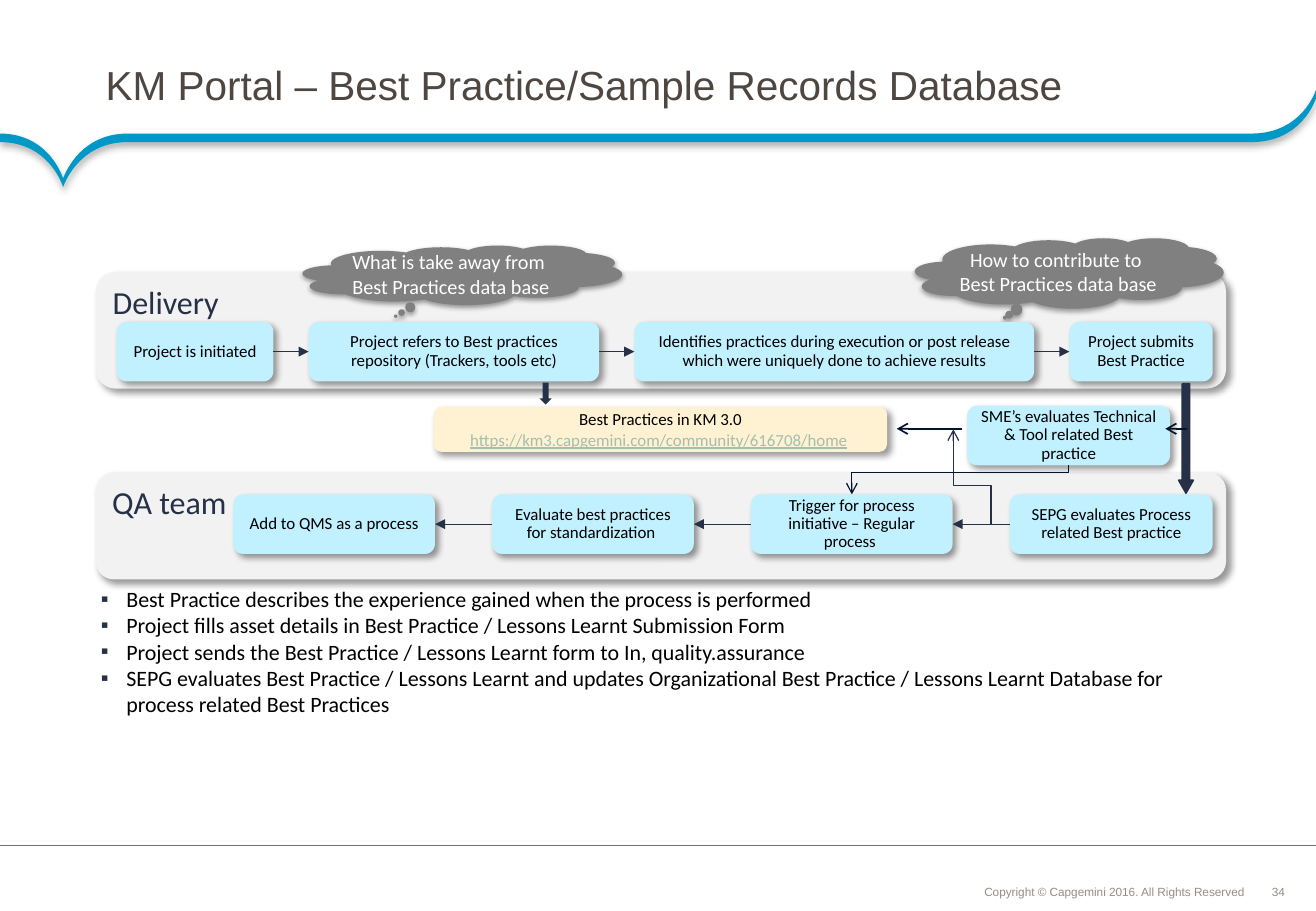
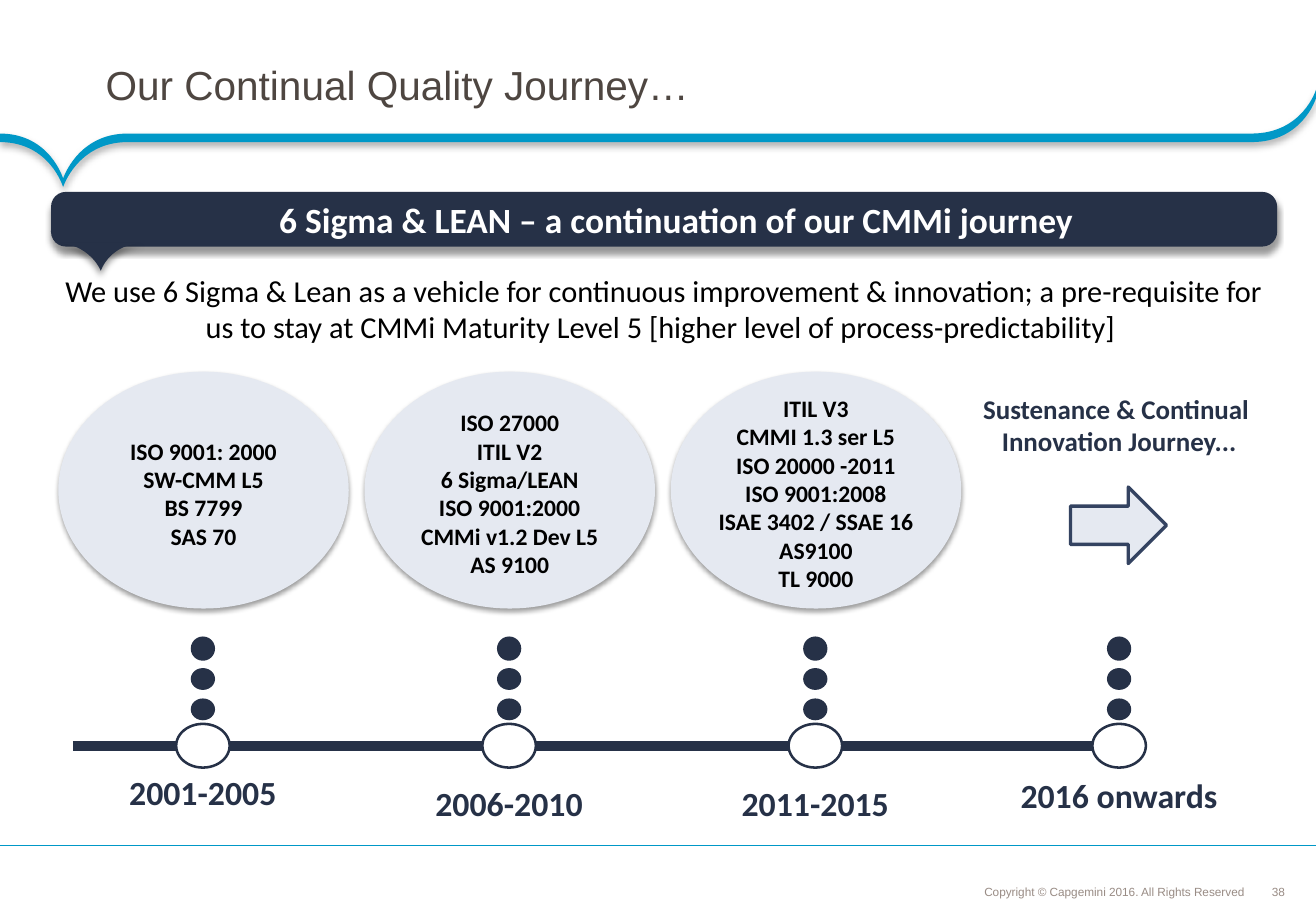
"""Builds the best-practice flow and the quality-journey slides."""
from lxml.etree import SubElement
from pptx import Presentation
from pptx.dml.color import RGBColor
from pptx.enum.shapes import MSO_CONNECTOR as CONN, MSO_SHAPE as SHAPE
from pptx.enum.text import MSO_ANCHOR as ANCHOR, MSO_AUTO_SIZE as AUTO, PP_ALIGN as ALIGN
from pptx.oxml.ns import qn
from pptx.util import Inches, Pt

NAVY = RGBColor(0x26, 0x31, 0x47)
INK = RGBColor(0x00, 0x14, 0x2A)
SLATE = RGBColor(0x24, 0x30, 0x46)
STEEL = RGBColor(0x34, 0x43, 0x61)
BLUE = RGBColor(0x00, 0x98, 0xC7)
SKY = RGBColor(0xC1, 0xF0, 0xFF)
CREAM = RGBColor(0xFF, 0xF2, 0xD2)
MIST = RGBColor(0xE5, 0xE9, 0xF1)
PANEL = RGBColor(0xF2, 0xF2, 0xF2)
GRAY = RGBColor(0x80, 0x80, 0x80)
TITLE = RGBColor(0x4E, 0x46, 0x41)
FOOTER = RGBColor(0x99, 0x8C, 0x85)
LINK = RGBColor(0xA2, 0xBF, 0xAF)
BLACK = RGBColor(0, 0, 0)
WHITE = RGBColor(0xFF, 0xFF, 0xFF)

BAND_SHADOW = (31, 4, 2, 90)
BAR_SHADOW = (40, 4, 3, 90)
BOX_SHADOW = (40, 4, 3, 45)
SOFT_SHADOW = (38, 3.1, 1.6, 90)


def style(sp, fill=None, line=None, width=0.75, shadow=None, tail=None):
    if fill is not None:
        sp.fill.solid()
        sp.fill.fore_color.rgb = fill
    if line is None:
        sp.line.fill.background()
    else:
        sp.line.color.rgb = line
        sp.line.width = Pt(width)
    spPr = sp.element.spPr
    if tail:
        SubElement(spPr.find(qn("a:ln")), qn("a:tailEnd"), type=tail)
    effects = SubElement(spPr, qn("a:effectLst"))
    if shadow:
        alpha, blur, dist, angle = shadow
        outer = SubElement(effects, qn("a:outerShdw"), blurRad=str(Pt(blur)), dist=str(Pt(dist)),
                           dir=str(angle * 60000), algn="ctr", rotWithShape="0")
        color = SubElement(outer, qn("a:srgbClr"), val="000000")
        SubElement(color, qn("a:alpha"), val=str(alpha * 1000))


def write(sp, lines, size, color, font="Calibri", bold=False, align=ALIGN.CENTER, anchor=ANCHOR.MIDDLE,
          wrap=True, spacing=None, margins=(0.09, 0.04, 0.09, 0.04)):
    tf = sp.text_frame
    tf.word_wrap = wrap
    tf.auto_size = AUTO.NONE
    tf.vertical_anchor = anchor
    tf.margin_left, tf.margin_top, tf.margin_right, tf.margin_bottom = map(Inches, margins)
    for i, line in enumerate(lines):
        p = tf.add_paragraph() if i else tf.paragraphs[0]
        p.alignment = align
        p.space_before = Pt(0)
        if spacing:
            p.line_spacing = spacing
        for j, part in enumerate(line.split("\n")):
            if j:
                p.add_line_break()
            r = p.add_run()
            r.text = part
            r.font.name, r.font.size, r.font.bold = font, Pt(size), bold
            r.font.color.rgb = color


prs = Presentation()
prs.slide_width, prs.slide_height = Inches(10.83), Inches(7.5)
flow = prs.slides.add_slide(prs.slide_layouts[1])
journey = prs.slides.add_slide(prs.slide_layouts[5])

bar = journey.shapes.add_shape(SHAPE.ROUNDED_RECTANGLE, Inches(0.42), Inches(1.58), Inches(10.09), Inches(0.45))
bar.adjustments[0] = 0.27
style(bar, NAVY, shadow=BAR_SHADOW)
write(bar, ["6 Sigma & LEAN – a continuation of our CMMi journey"], 21, WHITE, bold=True, wrap=False,
      margins=(0.2, 0, 0, 0))

band_curves = [[(1.05, 1.1)] * 3,
               [(0.64, 1.1), (0.52, 1.47), (0.52, 1.47)], [(0.52, 1.47), (0.41, 1.1), (0, 1.1)],
               [(0, 1.17)] * 3,
               [(0.41, 1.17), (0.52, 1.54), (0.52, 1.54)], [(0.52, 1.54), (0.64, 1.17), (1.05, 1.17)],
               [(10.3, 1.17)] * 3, [(10.72, 1.17), (10.83, 0.81), (10.83, 0.81)],
               [(10.83, 0.74)] * 3, [(10.83, 0.74), (10.72, 1.1), (10.3, 1.1)]]
pointer_curves = [[(0.74, 2), (0.83, 2.23), (0.83, 2.23)], [(0.83, 2.23), (0.9, 2), (1.2, 2)]]
outlines = []
for s, start, curves, closed, fill, shadow in (
        (flow, (10.3, 1.1), band_curves, True, BLUE, BAND_SHADOW),
        (journey, (0.45, 2), pointer_curves, False, NAVY, BAR_SHADOW)):
    builder = s.shapes.build_freeform(*map(Inches, start))
    builder.add_line_segments([tuple(map(Inches, curve[-1])) for curve in curves], close=closed)
    sp = builder.convert_to_shape()
    for segment, curve in zip(sp.element.xpath(".//a:lnTo"), curves):
        segment.tag = qn("a:cubicBezTo")
        segment.remove(segment[0])
        for x, y in curve:
            SubElement(segment, qn("a:pt"), x=str(Inches(x) - sp.left), y=str(Inches(y) - sp.top))
    style(sp, fill, shadow=shadow)
    outlines.append(sp)

notice = flow.shapes.add_textbox(Inches(7.37), Inches(7.24), Inches(2.91), Inches(0.2))
write(notice, ["Copyright © Capgemini 2016. All Rights Reserved"], 7, FOOTER, "Arial", align=ALIGN.RIGHT,
      anchor=ANCHOR.BOTTOM, spacing=0.9, margins=(0.04,) * 4)
rule = flow.shapes.add_connector(CONN.STRAIGHT, Inches(10.83), Inches(6.96), 0, Inches(6.96))
style(rule, line=BLUE)
for i, sp in enumerate((outlines[0], notice, rule)):
    sp.element.xpath("./*/p:cNvPr")[0].set("id", str(20 + i))
    prs.slide_master.shapes.element.append(sp.element)

for s, title, number in ((flow, "KM Portal – Best Practice/Sample Records Database", "34"),
                         (journey, "Our Continual Quality Journey…", "38")):
    sp = s.shapes.title
    sp.left, sp.top, sp.width, sp.height = map(Inches, (0.54, 0.3, 9.75, 0.85))
    write(sp, [title], 24, TITLE, "Arial", align=ALIGN.LEFT, spacing=0.85, margins=(0.33, 0.04, 0.18, 0.04))
    sp = s.shapes.add_textbox(Inches(10.46), Inches(7.28), Inches(0.12), Inches(0.12))
    write(sp, [number], 7, FOOTER, "Arial", wrap=False, margins=(0,) * 4)

for label, y, h in (("QA team", 3.89, 0.88), ("Delivery", 2.24, 0.96)):
    sp = flow.shapes.add_shape(SHAPE.ROUNDED_RECTANGLE, Inches(0.79), Inches(y), Inches(9.3), Inches(h))
    style(sp, PANEL, shadow=BOX_SHADOW)
    write(sp, [label], 19, NAVY, align=ALIGN.LEFT, anchor=ANCHOR.TOP)

for text, x, y, w, h, tip in (
        ("What is take away from \nBest Practices data base", 2.49, 2.02, 2.63, 0.49, 0.69),
        ("How to contribute to \nBest Practices data base", 7.53, 1.96, 2.54, 0.58, 0.63)):
    sp = flow.shapes.add_shape(SHAPE.CLOUD_CALLOUT, Inches(x), Inches(y), Inches(w), Inches(h))
    sp.adjustments[1] = tip
    style(sp, GRAY, shadow=SOFT_SHADOW)
    write(sp, [text], 12, WHITE, wrap=False)

delivery = [("Project is initiated", 1.29),
            ("Project refers to Best practices repository (Trackers, tools etc)", 2.39),
            ("Identifies practices during execution or post release which were uniquely done to achieve results",
             3.29),
            ("Project submits Best Practice", 1.18)]
review = [("Add to QMS as a process", 1.66),
          ("Evaluate best practices for standardization ", 1.66),
          ("Trigger for process initiative – Regular process ", 1.66),
          ("SEPG evaluates Process related Best practice", 1.67)]
expert = [("SME’s evaluates Technical & Tool related Best practice", 1.67)]
for steps, x, y, gap, forward in ((delivery, 0.96, 2.65, 0.29, True), (review, 1.92, 4.07, 0.47, False),
                                  (expert, 7.96, 3.34, 0, True)):
    boxes = []
    for text, w in steps:
        sp = flow.shapes.add_shape(SHAPE.ROUNDED_RECTANGLE, Inches(x), Inches(y), Inches(w), Inches(0.49))
        style(sp, SKY, shadow=BOX_SHADOW)
        write(sp, [text], 10, BLACK, spacing=0.9)
        boxes.append(sp)
        x += w + gap
    for left, right in zip(boxes, boxes[1:]):
        arrow = flow.shapes.add_connector(CONN.STRAIGHT, 0, 0, 0, 0)
        if forward:
            arrow.begin_connect(left, 3)
            arrow.end_connect(right, 1)
        else:
            arrow.begin_connect(right, 1)
            arrow.end_connect(left, 3)
        style(arrow, line=NAVY, tail="triangle")

portal = flow.shapes.add_shape(SHAPE.ROUNDED_RECTANGLE, Inches(3.57), Inches(3.35), Inches(3.73), Inches(0.37))
style(portal, CREAM, shadow=BOX_SHADOW)
write(portal, ["Best Practices in KM 3.0", "https://km3.capgemini.com/community/616708/home"], 10, BLACK)
p = portal.text_frame.paragraphs[1]
p.runs[0].font.color.rgb = LINK
p.runs[0].font.underline = True
r = p.add_run()
r.text = " "
r.font.name, r.font.size = "Calibri", Pt(10)
r.font.color.rgb = BLACK

for x, y, w, h, head, line in ((4.44, 3.15, 0.1, 0.18, 0.5, None), (9.7, 3.16, 0.12, 0.9, 0.88, NAVY)):
    sp = flow.shapes.add_shape(SHAPE.DOWN_ARROW, Inches(x), Inches(y), Inches(w), Inches(h))
    sp.adjustments[1] = head
    style(sp, NAVY, line, 1)

for x1, x2 in ((7.92, 7.38), (9.77, 9.59)):
    arrow = flow.shapes.add_connector(CONN.STRAIGHT, Inches(x1), Inches(3.53), Inches(x2), Inches(3.53))
    style(arrow, line=INK, width=1, tail="arrow")

for x1, y1, x2, y2, angle, bend, color in ((7.61, 4.08, 8.39, 3.77, 270, 40700, SLATE),
                                           (7.78, 3.06, 8.02, 4.84, 90, 24100, INK)):
    elbow = flow.shapes.add_connector(CONN.ELBOW, Inches(x1), Inches(y1), Inches(x2), Inches(y2))
    spPr = elbow.element.spPr
    spPr.find(qn("a:xfrm")).set("rot", str(angle * 60000))
    guides = spPr.find(qn("a:prstGeom")).find(qn("a:avLst"))
    SubElement(guides, qn("a:gd"), name="adj1", fmla=f"val {bend}")
    style(elbow, line=color, tail="arrow")

body = flow.placeholders[1]
body.left, body.top, body.width, body.height = map(Inches, (0.74, 4.78, 9.31, 1.18))
write(body, ["Best Practice describes the experience gained when the process is performed",
             "Project fills asset details in Best Practice / Lessons Learnt Submission Form",
             "Project sends the Best Practice / Lessons Learnt form to In, quality.assurance",
             "SEPG evaluates Best Practice / Lessons Learnt and updates Organizational Best Practice / "
             "Lessons Learnt Database for process related Best Practices"],
      13, BLACK, align=ALIGN.LEFT, anchor=ANCHOR.TOP)
for pPr in body.element.xpath(".//a:pPr"):
    pPr.set("marL", str(Inches(0.21)))
    pPr.set("indent", str(-Inches(0.21)))
    SubElement(SubElement(pPr, qn("a:buClr")), qn("a:srgbClr"), val=str(NAVY))
    SubElement(pPr, qn("a:buChar"), char="▪")

sp = journey.shapes.add_textbox(Inches(0.42), Inches(2.19), Inches(10.09), Inches(0.71))
write(sp, ["We use 6 Sigma & Lean as a vehicle for continuous improvement & innovation; a pre-requisite for "
           "us to stay at CMMi Maturity Level 5 [higher level of process-predictability] "],
      18, BLACK, anchor=ANCHOR.TOP, margins=(0.1, 0.05, 0.1, 0.05))
sp = journey.shapes.add_textbox(Inches(7.99), Inches(3.19), Inches(2.44), Inches(0.62))
write(sp, ["Sustenance & Continual ", "Innovation Journey..."], 16, NAVY, bold=True, anchor=ANCHOR.TOP, wrap=False)
sp = journey.shapes.add_shape(SHAPE.RIGHT_ARROW, Inches(8.81), Inches(4.01), Inches(0.79), Inches(0.63))
style(sp, MIST, STEEL, 2)

milestones = [
    (1.67, "2001-2005", 6.31, ["ISO 9001: 2000", "SW-CMM L5", "BS 7799", "SAS 70"]),
    (4.19, "2006-2010", 6.4, ["ISO 27000", "ITIL V2", "6 Sigma/LEAN", "ISO 9001:2000", "CMMi v1.2 Dev L5",
                              "AS 9100"]),
    (6.71, "2011-2015", 6.4, ["ITIL V3", "CMMI 1.3 ser L5", "ISO 20000 -2011", "ISO 9001:2008",
                              "ISAE 3402 / SSAE 16", "AS9100", "TL 9000"]),
    (9.21, "2016 onwards", 6.34, []),
]
track = 0.6
for cx, years, y, standards in milestones:
    if standards:
        sp = journey.shapes.add_shape(SHAPE.OVAL, Inches(cx - 1.19), Inches(3.06), Inches(2.39), Inches(1.95))
        style(sp, MIST, shadow=SOFT_SHADOW)
        write(sp, standards, 14, BLACK, bold=True, wrap=False, margins=(0, 0.1, 0, 0.05))
    for top, h in ((5.24, 0.2), (5.5, 0.18), (5.75, 0.18)):
        sp = journey.shapes.add_shape(SHAPE.OVAL, Inches(cx - 0.1), Inches(top), Inches(0.2), Inches(h))
        style(sp, NAVY)
    segment = journey.shapes.add_connector(CONN.STRAIGHT, Inches(track), Inches(6.14), Inches(cx - 0.22),
                                           Inches(6.14))
    style(segment, line=NAVY, width=6)
    ring = journey.shapes.add_shape(SHAPE.OVAL, Inches(cx - 0.22), Inches(5.96), Inches(0.44), Inches(0.36))
    style(ring, WHITE, NAVY, 1.5)
    sp = journey.shapes.add_textbox(Inches(cx - 0.9), Inches(y), Inches(1.8), Inches(0.42))
    write(sp, [years], 20, NAVY, bold=True, anchor=ANCHOR.TOP, wrap=False)
    track = cx + 0.22

prs.save("out.pptx")
